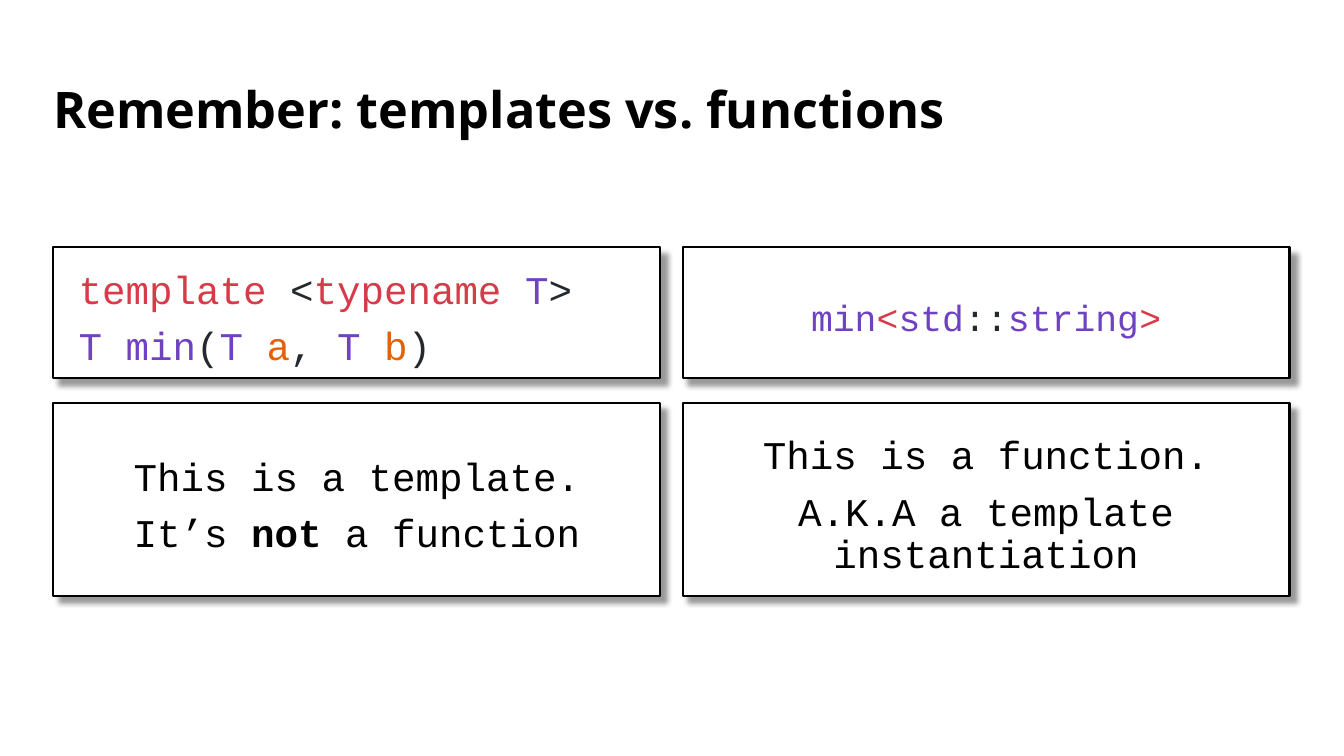
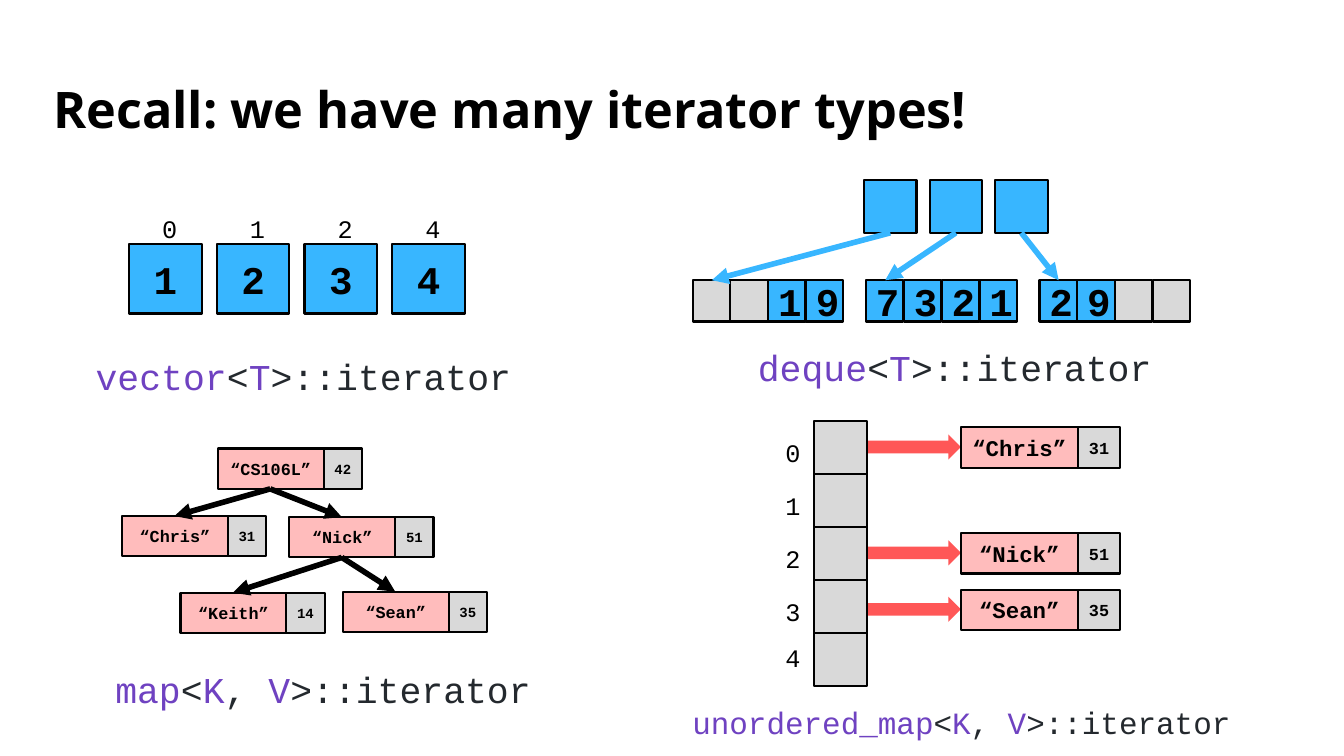
import pptx
import pptx.util
import pptx.dml.color
import pptx.enum.shapes
import pptx.enum.text
import pptx.oxml
import pptx.oxml.ns

Inches = pptx.util.Inches
KIND = pptx.enum.shapes.MSO_SHAPE
ALIGN = pptx.enum.text.PP_ALIGN
ANCHOR = pptx.enum.text.MSO_ANCHOR

MONO, SANS = "Courier New", "Open Sans"
BLACK, WHITE, GRAY = "000000", "FFFFFF", "D9D9D9"
BLUE, PINK, CORAL = "38B6FF", "FFBCBC", "FF5757"
RED, INK, VIOLET, ORANGE = "D73A49", "24292E", "6F42C1", "E36209"

# A paragraph is a list of runs: (text, colour) or (text, colour, bold).
TITLES = ["Remember: templates vs. functions",
          "Recall: we have many iterator types!"]
CARDS = [  # column, row, size, align, paragraphs
    (0, 0, 28, ALIGN.LEFT, [
        [("template", RED), (" <", INK), ("typename ", RED),
         ("T", VIOLET), (">", INK)],
        [("T min", VIOLET), ("(", INK), ("T ", VIOLET), ("a", ORANGE),
         (", ", INK), ("T ", VIOLET), ("b", ORANGE), (")", INK)]]),
    (0, 1, 28, ALIGN.CENTER, [
        [("This is a template.", BLACK)],
        [("It’s ", BLACK), ("not", BLACK, True), (" a function", BLACK)]]),
    (1, 0, 26, ALIGN.CENTER, [
        [("min", VIOLET), ("<", RED), ("std", VIOLET), ("::", INK),
         ("string", VIOLET), (">", RED)]]),
    (1, 1, 28, ALIGN.CENTER, [
        [("This is a function.", BLACK)],
        [("A.K.A a template instantiation", BLACK)]]),
]
COLUMNS = [0.53, 6.77]
ROWS = [(2.45, 1.3), (4, 1.91)]

VECTOR = [("0", "1"), ("1", "2"), ("2", "3"), ("4", "4")]
DEQUE = [["", "", "1", "9"], ["7", "3", "2", "1"], ["2", "9", "", ""]]
TREE = {  # key: value, left, top
    "CS106L": ("42", 2.16, 4.45),
    "Chris": ("31", 1.21, 5.12),
    "Nick": ("51", 2.87, 5.13),
    "Keith": ("14", 1.79, 5.88),
    "Sean": ("35", 3.4, 5.87),
}
EDGES = [("CS106L", "Chris"), ("CS106L", "Nick"),
         ("Nick", "Keith"), ("Nick", "Sean")]
BUCKETS = [("0", 4.29), ("1", 4.82), ("2", 5.34), ("3", 5.87), ("4", 6.32)]
ENTRIES = [("Chris", "31", 4.24), ("Nick", "51", 5.29), ("Sean", "35", 5.85)]
LABELS = [  # container, parameters, left, top, width, size, line spacing
    ("vector", ["T"], 0.52, 3.51, 4.98, 26, 0.9),
    ("deque", ["T"], 6.98, 3.42, 4.98, 26, 0.9),
    ("unordered_map", ["K", "V"], 6.68, 7, 5.71, 22.1, 0.8),
    ("map", ["K", "V"], 0.35, 6.62, 5.71, 26, 0.9),
]


def paint(color, value):
    color.rgb = pptx.dml.color.RGBColor.from_string(value)


def write(shape, paras, size=18, font=MONO, bold=False, align=ALIGN.LEFT,
          anchor=ANCHOR.TOP, spacing=1, before=0):
    frame = shape.text_frame
    frame.word_wrap = True
    frame.vertical_anchor = anchor
    for i, runs in enumerate(paras):
        para = frame.add_paragraph() if i else frame.paragraphs[0]
        para.alignment = align
        para.line_spacing = spacing
        if i and before:
            para.space_before = pptx.util.Pt(before)
        for text, color, *strong in runs:
            run = para.add_run()
            run.text = text
            run.font.size = pptx.util.Pt(size)
            run.font.name = font
            run.font.bold = bool(strong) or bold
            paint(run.font.color, color)


def note(slide, left, top, width, height, paras, **style):
    box = slide.shapes.add_textbox(*map(Inches, (left, top, width, height)))
    write(box, paras, **style)


def block(slide, left, top, width, height, fill, kind=KIND.RECTANGLE,
          outline=True):
    shape = slide.shapes.add_shape(
        kind, *map(Inches, (left, top, width, height)))
    shape.shadow.inherit = False
    shape.fill.solid()
    paint(shape.fill.fore_color, fill)
    if outline:
        paint(shape.line.color, BLACK)
        shape.line.width = pptx.util.Pt(1.5)
    else:
        shape.line.fill.background()
    return shape


def cell(slide, left, top, width, height, fill, text="", size=28):
    shape = block(slide, left, top, width, height, fill)
    if text:
        write(shape, [[(text, BLACK)]], size=size, bold=True,
              align=ALIGN.CENTER, anchor=ANCHOR.MIDDLE)


def pair(slide, key, value, left, top, widths, sizes):
    """Draw a key cell with its value cell on the right."""
    cell(slide, left, top, widths[0], 0.4, PINK, f"“{key}”", sizes[0])
    cell(slide, left + widths[0], top, widths[1], 0.4, GRAY, value, sizes[1])


def arrow(slide, start, end, color):
    line = slide.shapes.add_connector(
        pptx.enum.shapes.MSO_CONNECTOR.STRAIGHT, *map(Inches, start + end))
    paint(line.line.color, color)
    line.line.width = pptx.util.Pt(4)
    pen = line.line._get_or_add_ln()
    pen.append(pptx.oxml.parse_xml(
        f'<a:tailEnd {pptx.oxml.ns.nsdecls("a")} type="triangle"/>'))
    line._element.spPr.append(pptx.oxml.parse_xml(
        f'<a:effectLst {pptx.oxml.ns.nsdecls("a")}/>'))


def shade(shape):
    """Give a shape a soft shadow to the lower right."""
    effects = shape._element.spPr.find(pptx.oxml.ns.qn("a:effectLst"))
    effects.append(pptx.oxml.parse_xml(
        f'<a:outerShdw {pptx.oxml.ns.nsdecls("a")} blurRad="50800" '
        'dist="76200" dir="2700000" algn="tl" rotWithShape="0">'
        '<a:srgbClr val="000000"><a:alpha val="40000"/></a:srgbClr>'
        '</a:outerShdw>'))


def cards(slide):
    for col, row, size, align, paras in CARDS:
        top, height = ROWS[row]
        card = block(slide, COLUMNS[col], top, 6.02, height, WHITE)
        shade(card)
        frame = card.text_frame
        frame.margin_left = frame.margin_right = Inches(0.25)
        frame.margin_top, frame.margin_bottom = Inches(0.19), Inches(0.05)
        write(card, paras, size=size, align=align, anchor=ANCHOR.MIDDLE,
              spacing=0.9, before=10)


def vector(slide):
    for i, (index, value) in enumerate(VECTOR):
        left = 1.28 + 0.87 * i
        cell(slide, left, 2.42, 0.72, 0.69, BLUE, value)
        note(slide, left + 0.23, 2.07, 0.26, 0.3, [[(index, BLACK)]])


def deque(slide):
    for i, chunk in enumerate(DEQUE):
        head, left = 8.57 + 0.65 * i, 6.87 + 1.72 * i
        cell(slide, head, 1.79, 0.52, 0.52, BLUE)
        for j, value in enumerate(chunk):
            cell(slide, left + 1.5 / 4 * j, 2.78, 0.37, 0.41,
                 BLUE if value else GRAY, value)
        arrow(slide, (head + 0.26, 2.31), (left + 0.19, 2.78), BLUE)


def tree(slide):
    for key, (value, left, top) in TREE.items():
        pair(slide, key, value, left, top, (1.05, 0.38), (12, 10))
    for parent, child in EDGES:
        _, left, top = TREE[parent]
        _, x, y = TREE[child]
        arrow(slide, (left + 0.52, top + 0.4), (x + 0.52, y), BLACK)


def table(slide):
    """Draw the hash table: buckets, arrows and entries."""
    for _, _, top in ENTRIES:
        block(slide, 8.34, top + 0.07, 1.19, 0.25, CORAL,
              KIND.RIGHT_ARROW, outline=False)
    for i, (index, top) in enumerate(BUCKETS):
        cell(slide, 8.07, 4.18 + 2.1 / 4 * i, 0.53, 0.53, GRAY)
        note(slide, 7.69, top, 0.24, 0.3, [[(index, BLACK)]])
    for key, value, top in ENTRIES:
        pair(slide, key, value, 9.53, top, (1.16, 0.42), (16, 12))


def labels(slide):
    for name, params, left, top, width, size, spacing in LABELS:
        runs = [(name, VIOLET), ("<", INK)]
        for i, param in enumerate(params):
            runs += [(", ", INK)] * (i > 0) + [(param, VIOLET)]
        runs.append((">::iterator", INK))
        note(slide, left, top, width, 0.63, [runs], size=size,
             align=ALIGN.CENTER, spacing=spacing)


def main():
    deck = pptx.Presentation()
    deck.slide_width, deck.slide_height = Inches(13.33), Inches(7.5)
    parts = [[cards], [vector, deque, tree, table, labels]]
    for title, draws in zip(TITLES, parts):
        slide = deck.slides.add_slide(deck.slide_layouts[6])
        note(slide, 0.43, 0.69, 12.47, 0.84, [[(title, BLACK)]], size=36,
             font=SANS, bold=True, anchor=ANCHOR.MIDDLE, spacing=0.9)
        for draw in draws:
            draw(slide)
    deck.save("out.pptx")


if __name__ == "__main__":
    main()
